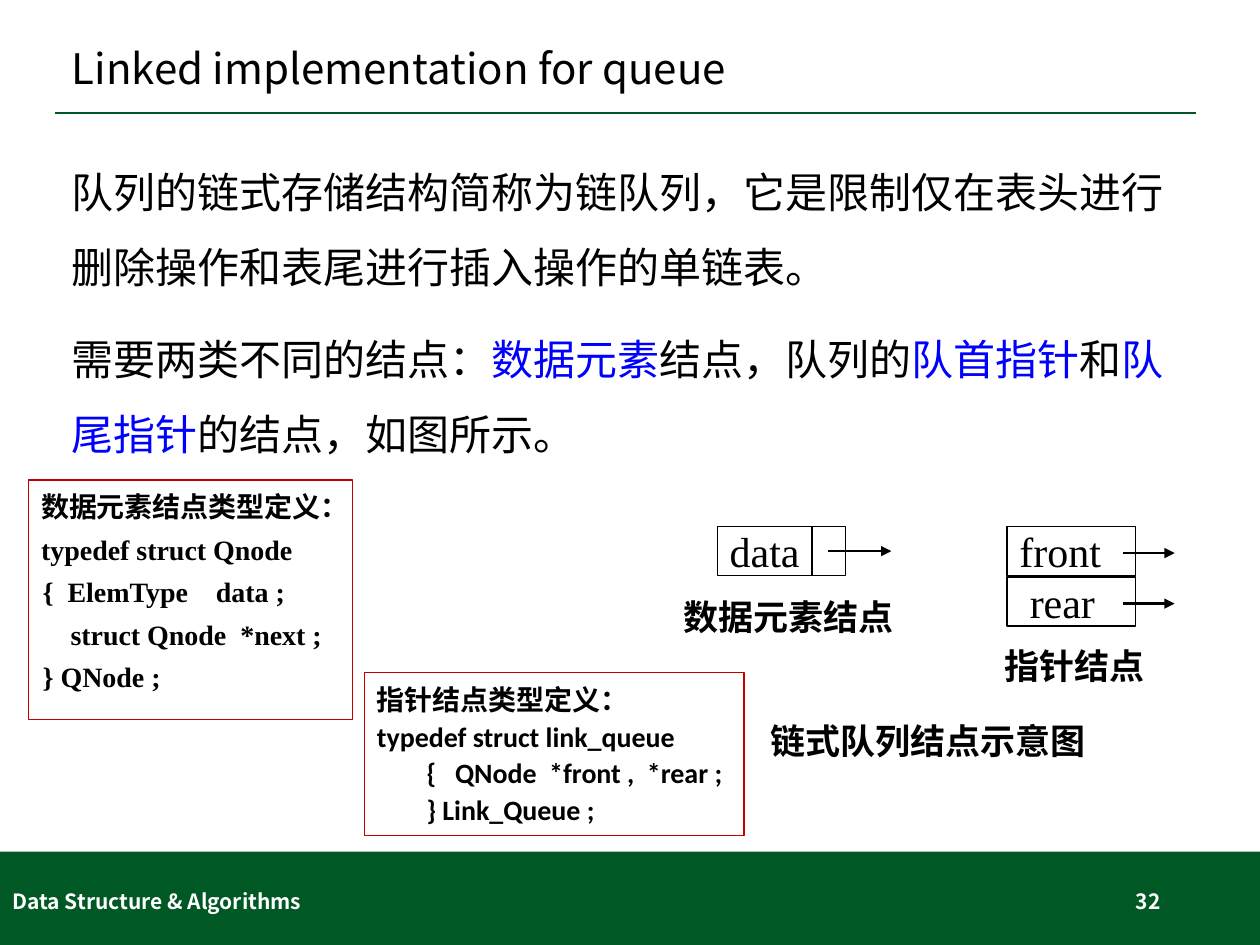
from lxml import etree
from pptx import Presentation
from pptx import util as u
from pptx.dml.color import RGBColor
from pptx.enum import shapes, text
from pptx.oxml.ns import qn

COLORS = {"green": "005825", "red": "C00000", "blue": "0000FF", "black": "000000", "white": "FFFFFF"}
SANS, SERIF, CODE = "Noto Sans CJK SC", "Times New Roman", "Calibri"
LEFT, CENTER, RIGHT = text.PP_ALIGN.LEFT, text.PP_ALIGN.CENTER, text.PP_ALIGN.RIGHT
TOP, MIDDLE = text.MSO_ANCHOR.TOP, text.MSO_ANCHOR.MIDDLE


def rgb(name):
    return RGBColor.from_string(COLORS[name])


def write(sp, paragraphs, size, font=SANS, color="black", bold=False, align=LEFT, anchor=MIDDLE,
          wrap=True, spacing=1.0, before=0, indents=(), left=0.25, right=0.25):
    tf = sp.text_frame
    tf.word_wrap, tf.vertical_anchor = wrap, anchor
    tf.margin_left, tf.margin_right = u.Cm(left), u.Cm(right)
    for i, runs in enumerate(paragraphs):
        p = tf.add_paragraph() if i else tf.paragraphs[0]
        if indents and indents[i]:
            p._p.get_or_add_pPr().set("marL", str(u.Cm(indents[i])))
        p.alignment, p.line_spacing = align, spacing
        p.space_before = u.Pt(before if i else 0)
        for part in [(runs, color)] if isinstance(runs, str) else runs:
            r = p.add_run()
            r.text = part[0]
            r.font.size, r.font.bold, r.font.name = u.Pt(size), bold, font
            r.font.color.rgb = rgb(part[1])
            etree.SubElement(r._r.get_or_add_rPr(), qn("a:ea")).set("typeface", SANS)


def add_text(s, box, paragraphs, size, **fmt):
    sp = s.shapes.add_textbox(*map(u.Cm, box))
    write(sp, paragraphs, size, **fmt)


def add_rect(s, box, fill=None, line=None):
    sp = s.shapes.add_shape(shapes.MSO_SHAPE.RECTANGLE, *map(u.Cm, box))
    sp.shadow.inherit = False
    if fill:
        sp.fill.solid()
        sp.fill.fore_color.rgb = rgb(fill)
    else:
        sp.fill.background()
    if line:
        sp.line.color.rgb, sp.line.width = rgb(line), u.Pt(0.75)
    else:
        sp.line.fill.background()
    return sp


def add_line(s, x1, y1, x2, y2, color="black", width=0.75, arrow=False):
    c = s.shapes.add_connector(shapes.MSO_CONNECTOR.STRAIGHT, *map(u.Cm, (x1, y1, x2, y2)))
    c.line.color.rgb, c.line.width = rgb(color), u.Pt(width)
    if arrow:
        etree.SubElement(c.line._get_or_add_ln(), qn("a:tailEnd")).set("type", "triangle")
    etree.SubElement(c._element.spPr, qn("a:effectLst"))


def add_title(s, box, title):
    x, y, w, h = box
    add_line(s, x - 0.1, y + h + 0.02, x + w - 0.1, y + h + 0.02, "green", 1.25)
    sp = s.shapes.title
    sp.left, sp.top, sp.width, sp.height = map(u.Cm, box)
    write(sp, [title], 24, spacing=0.9)


def add_footer(s, box, label, number):
    x, y, w, h = box
    add_rect(s, box, fill="green")
    add_text(s, (x, y + 0.48, 8.59, 1.02), [label], 12, color="white", bold=True)
    add_text(s, (x + 17.93, y + 0.48, 5.72, 1.02), [number], 12, color="white", bold=True, align=RIGHT)


def add_code(s, box, lines, **fmt):
    write(add_rect(s, box, line="red"), lines, 16, bold=True, anchor=TOP, spacing=1.1, **fmt)


def add_field(s, x, y, name, left=0.25):
    write(add_rect(s, (x, y, 2.59, 0.99), line="black"), [name], 24, font=SERIF, wrap=False, left=left)


def add_pointer(s, x, y, length):
    add_line(s, x, y, x + length, y, width=1.5, arrow=True)


def add_diagram(s, box):
    x, y, w, h = box
    label = dict(font=SERIF, bold=True, right=0)

    add_field(s, x + 0.94, y, "data")
    add_line(s, x + 2.85, y, x + 2.85, y + 0.99)
    add_pointer(s, x + 3.18, y + 0.5, 1.27)
    add_text(s, (x, y + 1.32, 4.7, 0.99), ["数据元素结点"], 20, **label)

    for i, (name, left) in enumerate([("front", 0.25), ("rear", 0.46)]):
        row = y + i * 1.02
        add_field(s, x + 6.78, row, name, left)
        add_pointer(s, x + 9.12, row + 0.54, 1.04)
    add_text(s, (x + 6.48, y + 2.21, 3.3, 1.19), ["指针结点"], 20, **label)

    add_text(s, (x + 0.64, y + h - 1.02, 9.09, 1.02), ["链式队列结点示意图"], 20, bold=True, align=CENTER)


def main():
    prs = Presentation()
    prs.slide_width, prs.slide_height = u.Cm(25.4), u.Cm(19.05)
    s = prs.slides.add_slide(prs.slide_layouts[5])

    add_footer(s, (0, 17.17, 25.4, 1.88), "Data Structure & Algorithms", "32")
    add_title(s, (1.2, 0.58, 23.01, 1.68), "Linked implementation for queue")
    add_text(s, (1.2, 2.72, 23.29, 14.07), [
        "队列的链式存储结构简称为链队列，它是限制仅在表头进行删除操作和表尾进行插入操作的单链表。",
        [("需要两类不同的结点：", "black"), ("数据元素", "blue"), ("结点，队列的", "black"),
         ("队首指针", "blue"), ("和", "black"), ("队尾指针", "blue"), ("的结点，如图所示。", "black")],
    ], 24, anchor=TOP, spacing=1.5, before=9)
    add_code(s, (0.58, 9.68, 6.53, 4.83), [
        "数据元素结点类型定义：",
        "typedef struct Qnode",
        "{  ElemType    data ;",
        "    struct Qnode  *next ;",
        "} QNode ;",
    ], font=SERIF, before=3.2, indents=(0, 0, 0.03, 0.03, 0.03))
    add_diagram(s, (13.52, 10.61, 10.16, 4.83))
    add_code(s, (7.35, 13.56, 7.65, 3.28), [
        "指针结点类型定义：",
        "typedef struct link_queue",
        "{   QNode  *front ,  *rear ;",
        "} Link_Queue ;",
    ], font=CODE, indents=(0, 0, 1, 1))
    prs.save("out.pptx")


if __name__ == "__main__":
    main()
